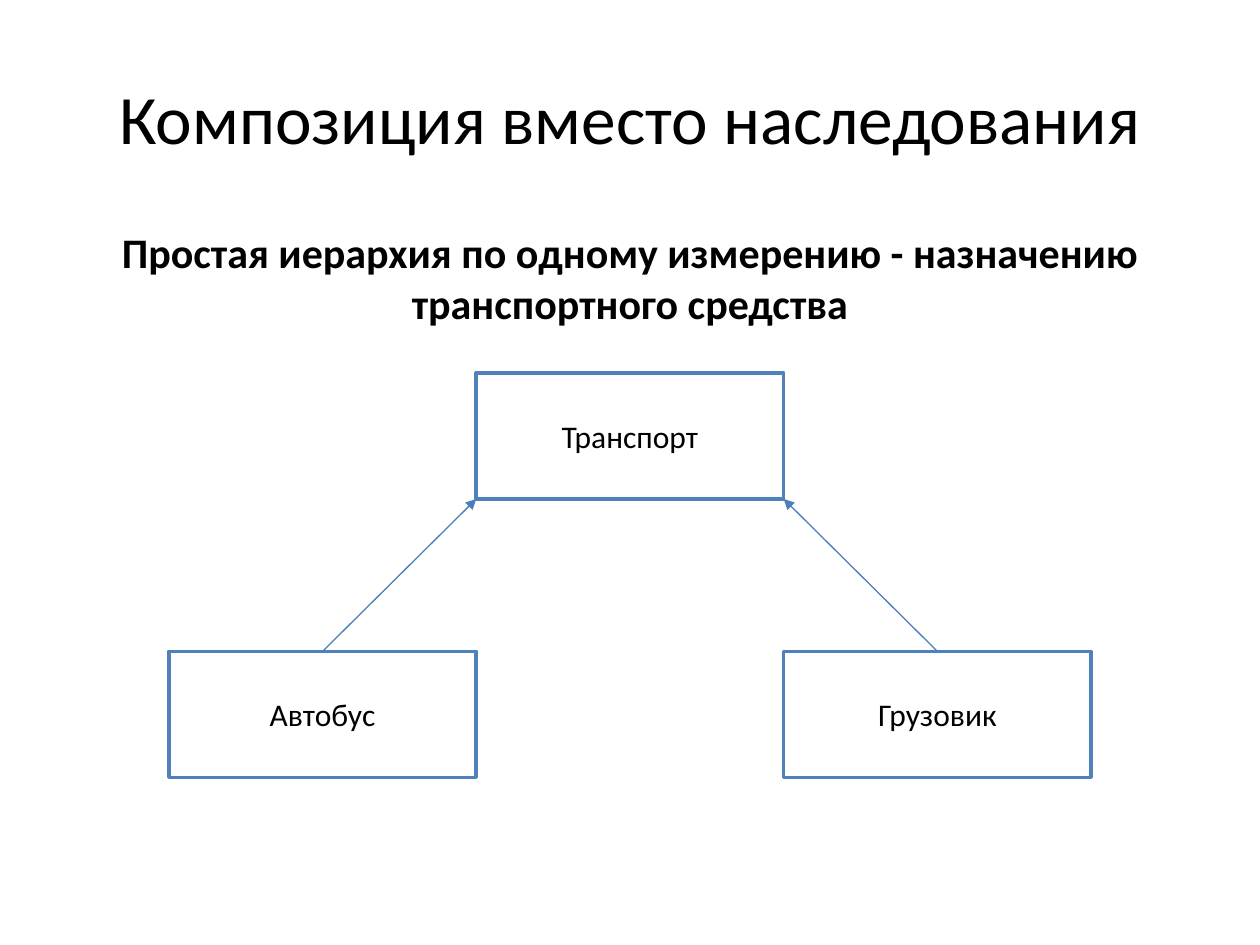
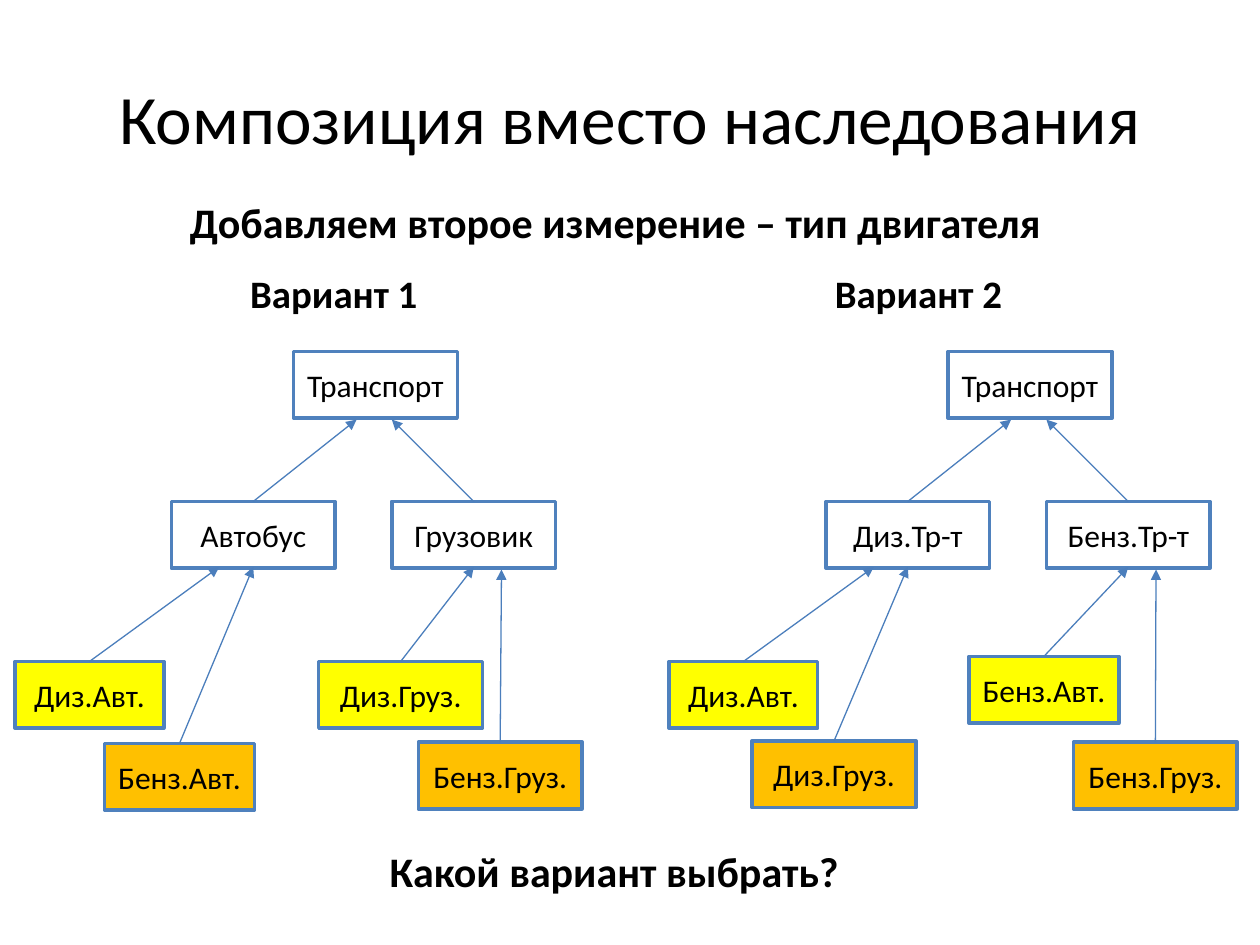
from lxml.etree import SubElement
from pptx import Presentation
from pptx.dml.color import RGBColor
from pptx.enum.shapes import MSO_CONNECTOR, MSO_SHAPE
from pptx.enum.text import MSO_ANCHOR, MSO_AUTO_SIZE, PP_ALIGN
from pptx.oxml.ns import qn
from pptx.util import Inches, Pt

COLORS = {"text": "000000", "border": "4F81BD", "arrow": "4B7EBC",
          "plain": "FFFFFF", "first": "FFFF00", "second": "FFC000"}
TITLE = "Композиция вместо наследования"

prs = Presentation()
prs.slide_width, prs.slide_height = Inches(10), Inches(7.5)
col, row = prs.slide_width / 100, prs.slide_height / 75
comparison = prs.slide_layouts[4]


def write(sp, text, at, size, bold=False, anchor=MSO_ANCHOR.MIDDLE, before=0):
    """Place a shape on the grid and write one centred line of text in it."""
    x, y, w, h = at
    sp.left, sp.top = int(x * col), int(y * row)
    sp.width, sp.height = int(w * col), int(h * row)
    tf = sp.text_frame
    tf.word_wrap, tf.auto_size = True, MSO_AUTO_SIZE.NONE
    tf.vertical_anchor = anchor
    p = tf.paragraphs[0]
    p.alignment, p.space_before = PP_ALIGN.CENTER, Pt(before)
    r = p.add_run()
    r.text = text
    r.font.name, r.font.size, r.font.bold = "Calibri", Pt(size), bold
    r.font.color.rgb = RGBColor.from_string(COLORS["text"])


def node(s, text, fill, at, tip=None):
    """Draw a class box and, if a tip is given, an arrow from its top to its parent."""
    sp = s.shapes.add_shape(MSO_SHAPE.RECTANGLE, 0, 0, 0, 0)
    sp.shadow.inherit = False
    sp.fill.solid()
    sp.fill.fore_color.rgb = RGBColor.from_string(COLORS[fill])
    sp.line.color.rgb = RGBColor.from_string(COLORS["border"])
    sp.line.width = Pt(2)
    sp.text_frame.margin_left = sp.text_frame.margin_right = 0
    write(sp, text, at, 18)
    if tip:
        x, y, w, h = at
        cxn = s.shapes.add_connector(
            MSO_CONNECTOR.STRAIGHT, int((x + w / 2) * col), int(y * row),
            int(tip[0] * col), int(tip[1] * row))
        cxn.line.color.rgb = RGBColor.from_string(COLORS["arrow"])
        cxn.line.width = Pt(0.75)
        SubElement(cxn.line._get_or_add_ln(), qn("a:tailEnd"), type="triangle")
        SubElement(cxn._element.spPr, qn("a:effectLst"))


# Headings: (placeholder index or None for a text box, text, place, size)
headings = [
    [(1, "Простая иерархия по одному измерению - назначению транспортного средства",
      (5, 16.8, 90, 9.7), 24)],
    [(1, "Вариант 1", (4.4, 21.3, 44.2, 4.3), 22.2),
     (3, "Добавляем второе измерение – тип двигателя", (8.3, 14.7, 81.1, 5.4), 24),
     (None, "Вариант 2", (50.8, 21.3, 44.2, 4.3), 22.2),
     (None, "Какой вариант выбрать?", (8.2, 66.2, 81.1, 5.4), 24)],
]
for slide_headings in headings:
    s = prs.slides.add_slide(comparison)
    write(s.shapes.title, TITLE, (5, 3, 90, 12.5), 39.6)
    bodies = {ph.placeholder_format.idx: ph for ph in s.placeholders}
    for idx, text, at, size in slide_headings:
        sp = bodies[idx] if idx else s.shapes.add_textbox(0, 0, 0, 0)
        write(sp, text, at, size, True, MSO_ANCHOR.BOTTOM, size * 0.2)
    for ph in list(s.placeholders):
        if not ph.text_frame.text:
            ph._element.getparent().remove(ph._element)

# Slide 1: a parent with two children touching its lower corners
s = prs.slides[0]
w, h, top, bottom = 24.4, 10, 29.6, 51.7
left = (100 - w) / 2
node(s, "Транспорт", "plain", (left, top, w, h))
node(s, "Автобус", "plain", (left - w, bottom, w, h), (left, top + h))
node(s, "Грузовик", "plain", (left + w, bottom, w, h), (left + w, top + h))

# Slide 2: two trees of the same form; leaves are (text, fill, x, y, width)
s = prs.slides[1]
w, h, shift = 13, 5.3, 51.95
leaf_tips = [(17.4, 45), (20.1, 45), (37.6, 45), (39.8, 45.2)]
trees = [
    ("Автобус", "Грузовик", [
        ("Диз.Авт.", "first", 1.2, 52.5, 11.8),
        ("Бенз.Авт.", "second", 8.3, 59, 11.9),
        ("Диз.Груз.", "first", 25.3, 52.5, w),
        ("Бенз.Груз.", "second", 33.2, 58.9, w)]),
    ("Диз.Тр-т", "Бенз.Тр-т", [
        ("Диз.Авт.", "first", 53.1, 52.5, 11.8),
        ("Диз.Груз.", "second", 59.7, 58.8, w),
        ("Бенз.Авт.", "first", 76.9, 52.1, 11.9),
        ("Бенз.Груз.", "second", 85.2, 58.9, w)]),
]
for i, (left_child, right_child, leaves) in enumerate(trees):
    dx = i * shift
    node(s, "Транспорт", "plain", (23.3 + dx, 27.9, w, h))
    node(s, left_child, "plain", (13.6 + dx, 39.8, w, h), (28.3 + dx, 33.3))
    node(s, right_child, "plain", (31.1 + dx, 39.8, w, h), (31.1 + dx, 33.3))
    for (text, fill, x, y, width), (tip_x, tip_y) in zip(leaves, leaf_tips):
        node(s, text, fill, (x, y, width, h), (tip_x + dx, tip_y))

prs.save("out.pptx")
